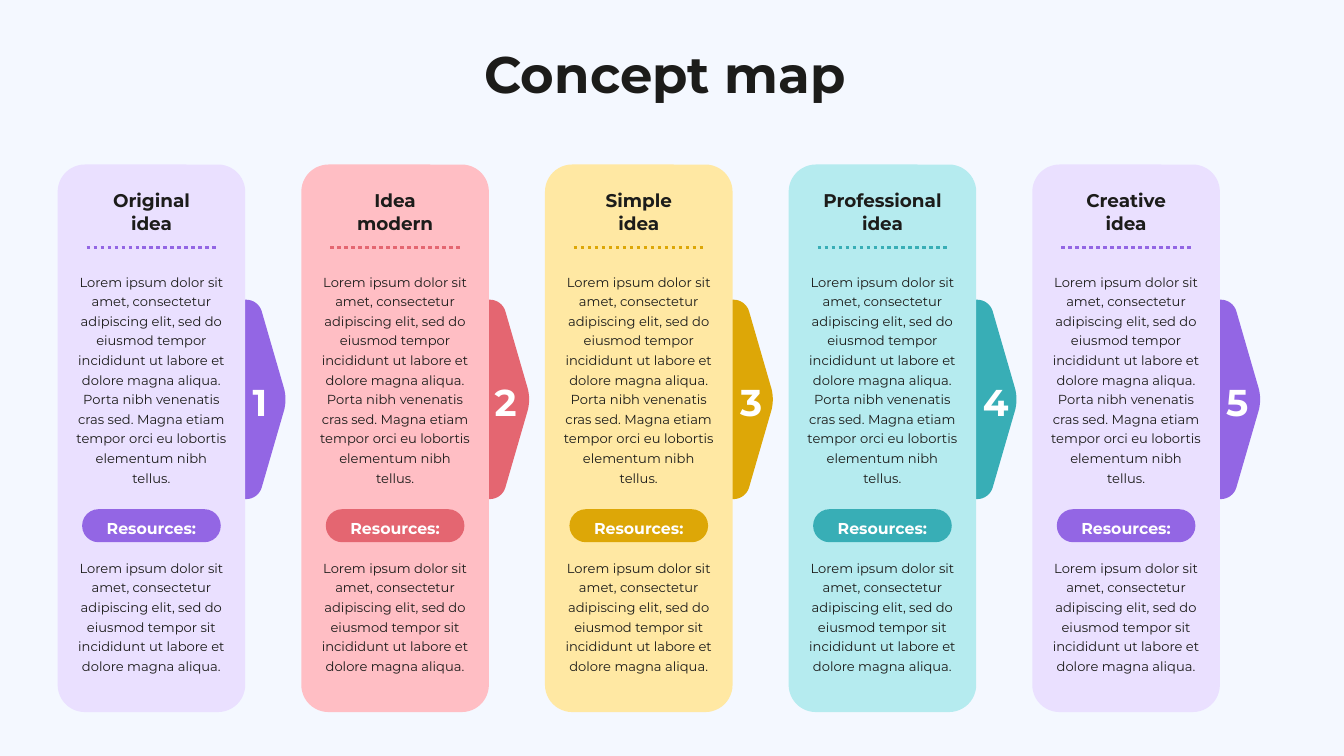
from lxml import etree
from pptx import Presentation
from pptx import util as u
from pptx.dml import color
from pptx.enum import dml, shapes, text
from pptx.oxml import ns

COLORS = {
    "page": "F4F8FF", "ink": "1C1C1A", "white": "FFFFFF",
    "violet": "9366E4", "violet light": "EAE0FF",
    "red": "E46671", "red light": "FFBEC4",
    "gold": "DDA707", "gold light": "FFE8A3",
    "teal": "38AEB6", "teal light": "B5EBEF",
}
FONT = "Montserrat"
DESCRIPTION = (
    "Lorem ipsum dolor sit amet, consectetur adipiscing elit, sed do eiusmod tempor "
    "incididunt ut labore et dolore magna aliqua. Porta nibh venenatis cras sed. "
    "Magna etiam tempor orci eu lobortis elementum nibh tellus."
)
RESOURCES = (
    "Lorem ipsum dolor sit amet, consectetur adipiscing elit, sed do eiusmod tempor "
    "sit incididunt ut labore et dolore magna aliqua."
)
# title, colour, title width, offset of the number from the card
IDEAS = [
    ("Original idea", "violet", 4.11, 7.11),
    ("Idea modern", "red", 4.11, 7.19),
    ("Simple idea", "gold", 4.11, 7.26),
    ("Professional idea", "teal", 4.9, 7.29),
    ("Creative idea", "violet", 4.11, 7.21),
]
CARD_LEFT, CARD_TOP, CARD_WIDTH, CARD_HEIGHT = 2.18, 6.22, 7.09, 20.7
CARD_PITCH = 9.21
ARROW_OFFSET, ARROW_TOP, ARROW_HEIGHT = 5.69, 11.33, 7.54
ARROW_CURVES = [
    [(0.94, 3.77), (0.94, 3.62), (0.92, 3.47), (0.88, 3.33)],
    [(0.02, 0.43), (-0.02, 0.33), (0, 0.22), (0.06, 0.13)],
    [(0.06, 0.13), (0.14, 0.05), (0.23, 0), (0.34, 0)],
    [(1.43, 0), (1.71, 0), (1.94, 0.18), (2.02, 0.43)],
    [(2.86, 3.33), (2.9, 3.47), (2.92, 3.62), (2.92, 3.77)],
]


def rgb(name):
    return color.RGBColor.from_string(COLORS[name])


def paint(shape, fill):
    shape.shadow.inherit = False
    shape.fill.solid()
    shape.fill.fore_color.rgb = rgb(fill)
    shape.line.fill.background()


def add_text(page, words, left, top, width, height, size, spacing,
             ink="ink", bold=False, tracking=0):
    box = page.shapes.add_textbox(u.Cm(left), u.Cm(top), u.Cm(width), u.Cm(height))
    frame = box.text_frame
    frame.margin_left = frame.margin_right = frame.margin_top = frame.margin_bottom = 0
    frame.word_wrap = True
    frame.auto_size = text.MSO_AUTO_SIZE.SHAPE_TO_FIT_TEXT
    para = frame.paragraphs[0]
    para.alignment = text.PP_ALIGN.CENTER
    para.line_spacing = u.Pt(spacing)
    span = para.add_run()
    span.text = words
    span.font.name = FONT
    span.font.size = u.Pt(size)
    span.font.bold = bold
    span.font.color.rgb = rgb(ink)
    if tracking:
        span._r.get_or_add_rPr().set("spc", str(round(tracking * 100)))


def add_rounded(page, left, top, width, height, radius, fill):
    shape = page.shapes.add_shape(
        shapes.MSO_SHAPE.ROUNDED_RECTANGLE,
        u.Cm(left), u.Cm(top), u.Cm(width), u.Cm(height))
    shape.adjustments[0] = radius / min(width, height)
    paint(shape, fill)


def curve_points(curve, steps=8):
    for step in range(steps + 1):
        t = step / steps
        weights = ((1 - t) ** 3, 3 * t * (1 - t) ** 2, 3 * t * t * (1 - t), t ** 3)
        yield tuple(sum(w * point[axis] for w, point in zip(weights, curve))
                    for axis in (0, 1))


def add_arrow(page, left, top, fill):
    upper = [point for curve in ARROW_CURVES for point in curve_points(curve)]
    lower = [(x, ARROW_HEIGHT - y) for x, y in reversed(upper)]
    outline = [(u.Cm(left + x), u.Cm(top + y)) for x, y in upper + lower]
    builder = page.shapes.build_freeform(*outline[0])
    builder.add_line_segments(outline[1:], close=True)
    paint(builder.convert_to_shape(), fill)


def add_dotted_line(page, left, right, top, ink):
    line = page.shapes.add_connector(
        shapes.MSO_CONNECTOR.STRAIGHT, u.Cm(left), u.Cm(top), u.Cm(right), u.Cm(top))
    line.line.width = u.Pt(3.75)
    line.line.color.rgb = rgb(ink)
    line.line.dash_style = dml.MSO_LINE.ROUND_DOT
    etree.SubElement(line._element.spPr, ns.qn("a:effectLst"))


def add_idea(page, number, title, hue, title_width, number_offset):
    left = CARD_LEFT + (number - 1) * CARD_PITCH
    center = left + CARD_WIDTH / 2

    def add_centered(words, top, width, height, **style):
        add_text(page, words, center - width / 2, top, width, height, **style)

    add_arrow(page, left + ARROW_OFFSET, ARROW_TOP, hue)
    add_rounded(page, left, CARD_TOP, CARD_WIDTH, CARD_HEIGHT, 1.03, hue + " light")
    add_rounded(page, center - 2.62, 19.25, 5.24, 1.25, 0.62, hue)
    add_centered("Resources:", 19.48, 4.17, 0.76,
                 size=16.9, spacing=23.6, ink="white", bold=True)
    add_dotted_line(page, center - 2.45, center + 2.45, 9.35, hue)
    add_text(page, str(number), left + number_offset, 14.07, 1.07, 1.85,
             size=40, spacing=56, ink="white", bold=True, tracking=1.7)
    add_centered(DESCRIPTION, 10.21, 5.72, 7.82, size=14, spacing=21)
    add_centered(title, 7.11, title_width, 1.7, size=19.7, spacing=24.5, bold=True)
    add_centered(RESOURCES, 21.03, 5.99, 4.24, size=14, spacing=21)


def main():
    deck = Presentation()
    deck.slide_width, deck.slide_height = u.Cm(50.8), u.Cm(28.58)
    page = deck.slides.add_slide(deck.slide_layouts[6])
    page.background.fill.solid()
    page.background.fill.fore_color.rgb = rgb("page")
    for number, idea in enumerate(IDEAS, start=1):
        add_idea(page, number, *idea)
    add_text(page, "Concept map ", 15.62, 1.88, 19.58, 2.13,
             size=55, spacing=58.3, bold=True)
    deck.save("out.pptx")


if __name__ == "__main__":
    main()
